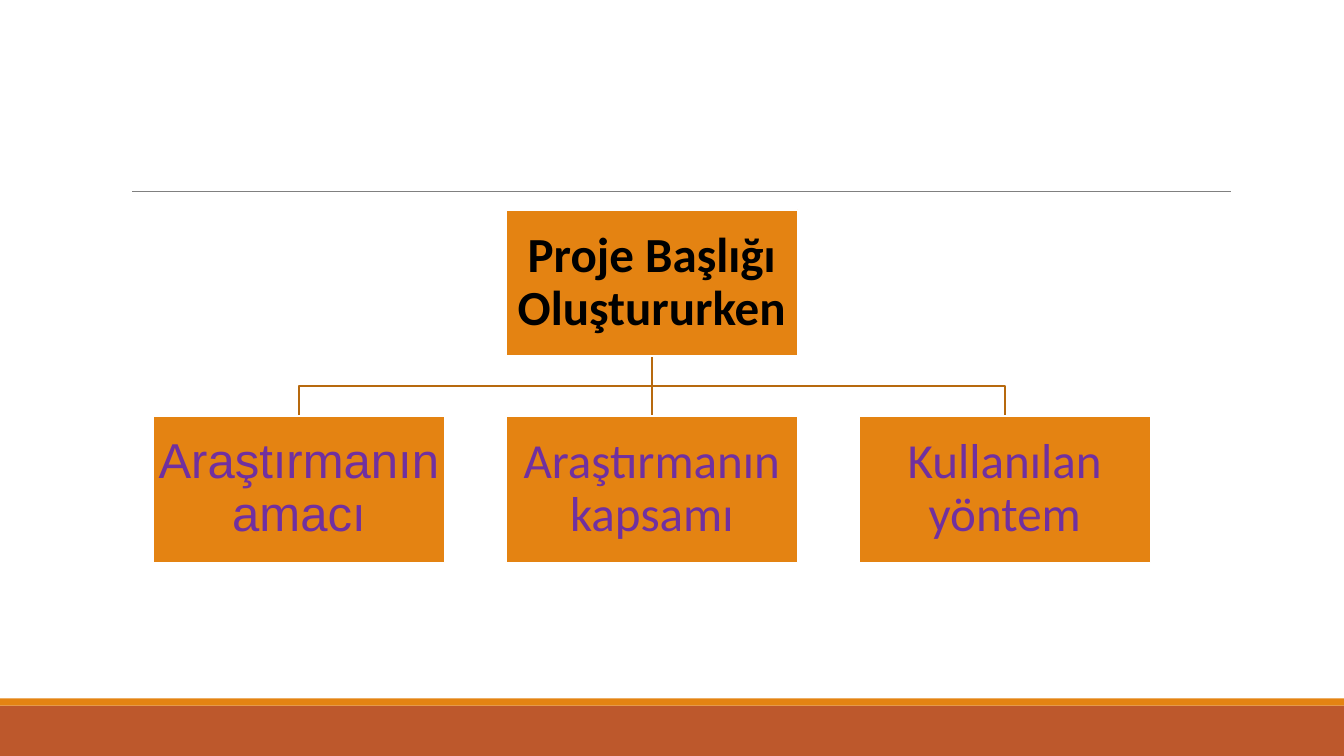
from dataclasses import dataclass

from lxml import etree
from pptx import Presentation
from pptx.dml.color import RGBColor
from pptx.enum.shapes import MSO_CONNECTOR, MSO_SHAPE
from pptx.enum.text import MSO_ANCHOR, PP_ALIGN
from pptx.oxml.ns import qn
from pptx.util import Inches, Pt

RECTANGLE = MSO_SHAPE.RECTANGLE
STRAIGHT = MSO_CONNECTOR.STRAIGHT
MIDDLE = MSO_ANCHOR.MIDDLE
CENTER = PP_ALIGN.CENTER
BOTTOM_SIDE, TOP_SIDE = 2, 0


@dataclass(frozen=True)
class Theme:
    """Colours, fonts and sizes of the slide."""
    orange: str = "E48312"
    rust: str = "BD582C"
    link: str = "B7690E"
    rule: str = "808080"
    white: str = "FFFFFF"
    black: str = "000000"
    purple: str = "7030A0"
    body_font: str = "Calibri"
    other_font: str = "Arial"
    text_size: float = 35
    rule_width: float = 0.5
    line_width: float = 1.25


@dataclass(frozen=True)
class Box:
    """A rectangle in inches."""
    left: float
    top: float
    width: float
    height: float

    @property
    def center(self):
        """Return the horizontal middle."""
        return self.left + self.width / 2

    @property
    def bottom(self):
        """Return the lower edge."""
        return self.top + self.height

    def inches(self):
        """Return the four lengths for python-pptx."""
        return [Inches(value) for value in (self.left, self.top, self.width, self.height)]


THEME = Theme()
PAGE = Box(0, 0, 13.33, 7.5)
CHART = Box(1.52, 2.08, 9.89, 3.5)
NODE_WIDTH, NODE_HEIGHT = 2.89, 1.45
ROOT = ("Proje Başlığı Oluştururken", THEME.body_font)
BRANCHES = [
    ("Araştırmanın amacı", THEME.other_font),
    ("Araştırmanın kapsamı", THEME.body_font),
    ("Kullanılan yöntem", THEME.body_font),
]


def style_line(shape, color, width):
    """Set the colour and width of an outline."""
    shape.line.color.rgb = RGBColor.from_string(color)
    shape.line.width = Pt(width)


def add_rectangle(page, box, color):
    """Add a plain filled rectangle."""
    shape = page.shapes.add_shape(RECTANGLE, *box.inches())
    shape.shadow.inherit = False
    shape.fill.solid()
    shape.fill.fore_color.rgb = RGBColor.from_string(color)
    shape.line.fill.background()
    return shape


def add_line(page, start, end, color, width):
    """Add a straight connector without a shadow."""
    points = [Inches(value) for value in (*start, *end)]
    line = page.shapes.add_connector(STRAIGHT, *points)
    style_line(line, color, width)
    etree.SubElement(line._element.spPr, qn("a:effectLst"))
    return line


def add_elbow(page, parent, child):
    """Add a bent link from the bottom of parent to the top of child."""
    halfway = (parent.bottom + child.top) / 2
    corners = [
        (parent.center, parent.bottom),
        (parent.center, halfway),
        (child.center, halfway),
        (child.center, child.top),
    ]
    start, *others = [(Inches(across), Inches(down)) for across, down in corners]
    builder = page.shapes.build_freeform(*start, scale=1.0)
    builder.add_line_segments(others, close=False)
    elbow = builder.convert_to_shape()
    elbow.shadow.inherit = False
    elbow.fill.background()
    style_line(elbow, THEME.link, THEME.line_width)


def add_node(page, box, text, font, color, bold=False):
    """Add one labelled box of the hierarchy."""
    node = add_rectangle(page, box, THEME.orange)
    style_line(node, THEME.white, THEME.line_width)
    frame = node.text_frame
    frame.word_wrap = True
    frame.vertical_anchor = MIDDLE
    frame.margin_left = frame.margin_right = Inches(0.02)
    frame.margin_top = frame.margin_bottom = Inches(0.02)
    para = frame.paragraphs[0]
    para.alignment = CENTER
    para.line_spacing = 0.9
    span = para.add_run()
    span.text = text
    span.font.name = font
    span.font.size = Pt(THEME.text_size)
    span.font.bold = bold
    span.font.color.rgb = RGBColor.from_string(color)
    return node


def add_backdrop(page, box):
    """Add the footer bands and the title rule."""
    footer_top = box.height * 14 / 15
    stripe = 0.07
    add_rectangle(page, Box(box.left, footer_top, box.width, box.bottom - footer_top), THEME.rust)
    add_rectangle(page, Box(box.left, footer_top - stripe, box.width, stripe), THEME.orange)
    add_line(page, (1.31, 1.9), (12.21, 1.9), THEME.rule, THEME.rule_width)


def add_hierarchy(page, box):
    """Add the root, its evenly spaced branches and their links."""
    pitch = (box.width - NODE_WIDTH) / (len(BRANCHES) - 1)
    root = Box(box.center - NODE_WIDTH / 2, box.top, NODE_WIDTH, NODE_HEIGHT)
    places = [
        Box(box.left + column * pitch, box.bottom - NODE_HEIGHT, NODE_WIDTH, NODE_HEIGHT)
        for column in range(len(BRANCHES))
    ]
    first, middle, last = places
    add_elbow(page, root, last)
    trunk = add_line(page, (root.center, root.bottom), (middle.center, middle.top),
                     THEME.link, THEME.line_width)
    add_elbow(page, root, first)
    root_node = add_node(page, root, *ROOT, THEME.black, bold=True)
    nodes = [
        add_node(page, place, text, font, THEME.purple)
        for place, (text, font) in zip(places, BRANCHES)
    ]
    trunk.begin_connect(root_node, BOTTOM_SIDE)
    trunk.end_connect(nodes[1], TOP_SIDE)


def main():
    """Build and save the deck."""
    deck = Presentation()
    deck.slide_width = Inches(PAGE.width)
    deck.slide_height = Inches(PAGE.height)
    page = deck.slides.add_slide(deck.slide_layouts[6])
    add_backdrop(page, PAGE)
    add_hierarchy(page, CHART)
    deck.save("out.pptx")


if __name__ == "__main__":
    main()
